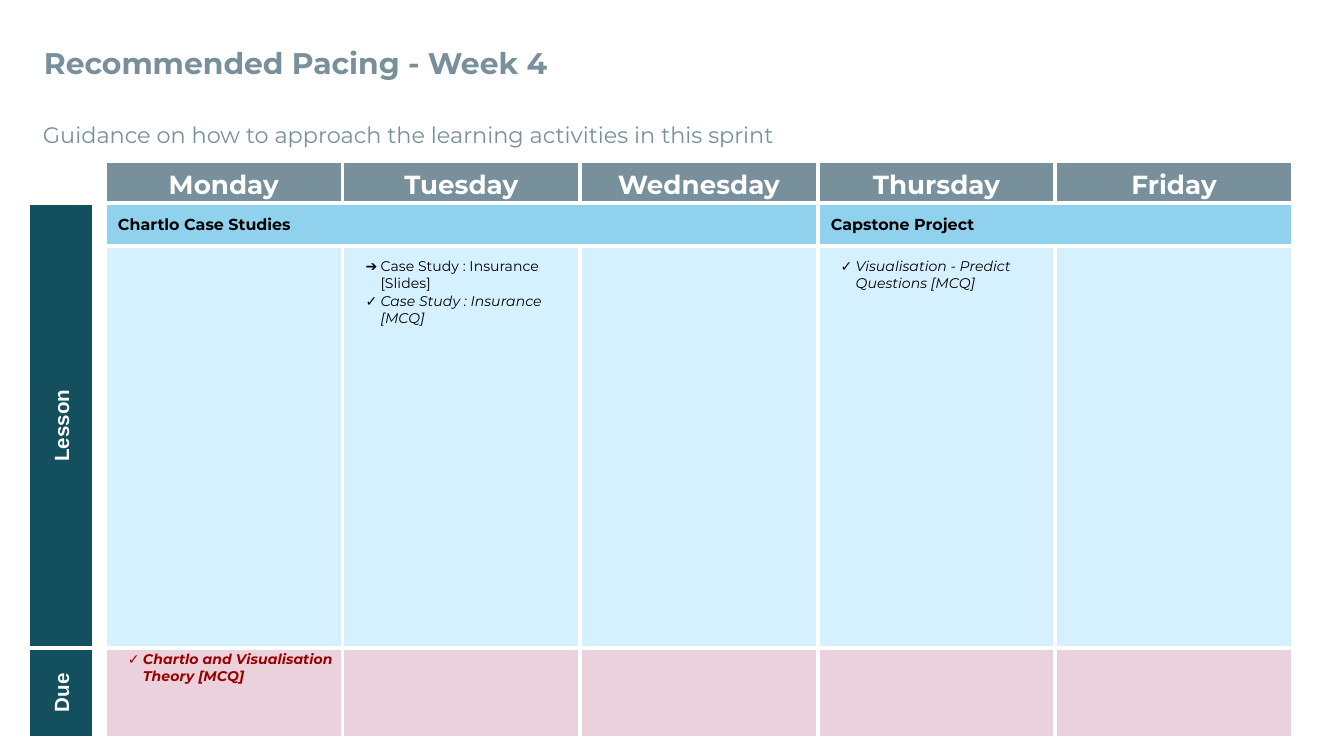
import pptx
import pptx.dml.color
import pptx.enum.shapes
import pptx.enum.text
import pptx.oxml
import pptx.oxml.ns
import pptx.util
from lxml import etree

PX = 914400 / 134.4  # EMU per px
FONT = "Montserrat"
COLORS = {
    "slate": "78909C", "teal": "134F5C", "blue": "90D1ED", "pale": "D5F1FF",
    "pink": "EAD1DC", "red": "990000", "white": "FFFFFF", "black": "000000",
}
DAYS = ["Monday", "Tuesday", "Wednesday", "Thursday", "Friday"]
# (day column, marker, text, italic)
LESSONS = [
    (1, "➔", "Case Study : Insurance [Slides]", False),
    (1, "✓", "Case Study : Insurance [MCQ]", True),
    (3, "✓", "Visualisation - Predict Questions [MCQ]", True),
]
DUE = [(0, "✓", "Chartlo and Visualisation Theory [MCQ]", True)]
# (first day column, number of days, text)
TOPICS = [(0, 3, "Chartlo Case Studies"), (3, 2, "Capstone Project")]
ROWS = [42, 445, 90]  # heading, lesson, due
ANCHOR = pptx.enum.text.MSO_ANCHOR
ALIGN = pptx.enum.text.PP_ALIGN


def emu(px):
    return pptx.util.Emu(round(px * PX))


def rgb(name):
    return pptx.dml.color.RGBColor.from_string(COLORS[name])


def set_font(p, size, color, bold=False, italic=False, name=FONT):
    p.font.name, p.font.size = name, pptx.util.Pt(size)
    p.font.bold, p.font.italic = bold, italic
    p.font.color.rgb = rgb(color)


def set_margins(obj, x, y):
    obj.margin_left = obj.margin_right = emu(x)
    obj.margin_top = obj.margin_bottom = emu(y)


def add_text(s, box, text, size, bold, anchor, spacing):
    tf = s.shapes.add_textbox(*map(emu, box)).text_frame
    tf.word_wrap = True
    tf.vertical_anchor = anchor
    set_margins(tf, 10, 5)
    p = tf.paragraphs[0]
    p.text, p.line_spacing = text, spacing
    set_font(p, size, "slate", bold)


def add_bar(s, box, text, fill, size, color, align, name=FONT):
    sp = s.shapes.add_shape(pptx.enum.shapes.MSO_SHAPE.RECTANGLE, *map(emu, box))
    sp.shadow.inherit = False
    sp.fill.solid()
    sp.fill.fore_color.rgb = rgb(fill)
    sp.line.color.rgb = rgb("white")
    sp.line.width = pptx.util.Pt(2.25)
    tf = sp.text_frame
    tf.vertical_anchor = ANCHOR.MIDDLE
    set_margins(tf, 13, 13)
    p = tf.paragraphs[0]
    p.text, p.alignment = text, align
    set_font(p, size, color, True, name=name)
    return sp


def add_side_label(s, box, text):
    """Bar whose text reads upwards: laid flat about the box centre, then turned."""
    x, y, w, h = box
    flat = (x + (w - h) / 2, y + (h - w) / 2, h, w)
    add_bar(s, flat, text, "teal", 11, "white", ALIGN.CENTER, "Arial").rotation = 270


def style_cell(cell, fill):
    tcPr = cell._tc.get_or_add_tcPr()
    for side in ("lnL", "lnR", "lnT", "lnB"):
        tcPr.append(pptx.oxml.parse_xml(
            f'<a:{side} {pptx.oxml.ns.nsdecls("a")} w="28575"><a:solidFill>'
            f'<a:srgbClr val="{COLORS["white"]}"/></a:solidFill></a:{side}>'))
    cell.fill.solid()
    cell.fill.fore_color.rgb = rgb(fill)
    set_margins(cell, 4, 3)


def add_bullet(cell, marker, text, color, bold, italic):
    tf = cell.text_frame
    p = tf.add_paragraph() if tf.text else tf.paragraphs[0]
    p.text = text
    set_font(p, 7.5, color, bold, italic)
    pPr = p._p.get_or_add_pPr()
    pPr.set("marL", str(emu(34)))
    pPr.set("indent", str(emu(-15)))
    qn = pptx.oxml.ns.qn
    bullet_color = etree.Element(qn("a:buClr"))
    etree.SubElement(bullet_color, qn("a:srgbClr"), val=COLORS[color])
    bullet_font = etree.Element(qn("a:buFont"), typeface=FONT)
    bullet = etree.Element(qn("a:buChar"), char=marker)
    for i, part in enumerate((bullet_color, bullet_font, bullet)):
        pPr.insert(i, part)


def add_week_table(s, box):
    table = s.shapes.add_table(len(ROWS), len(DAYS), *map(emu, box)).table
    table.first_row = table.horz_banding = False
    for col in table.columns:
        col.width = emu(box[2] / len(DAYS))
    for row, height, fill in zip(table.rows, ROWS, ("slate", "pale", "pink")):
        row.height = emu(height)
        for cell in row.cells:
            style_cell(cell, fill)

    # Day headings
    for i, day in enumerate(DAYS):
        cell = table.cell(0, i)
        cell.vertical_anchor = ANCHOR.MIDDLE
        p = cell.text_frame.paragraphs[0]
        p.text, p.alignment, p.line_spacing = day, ALIGN.CENTER, 1.15
        set_font(p, 14, "white", True)

    # Activities, starting below the topic bars
    for col, marker, text, italic in LESSONS:
        cell = table.cell(1, col)
        cell.margin_top = emu(55)
        add_bullet(cell, marker, text, "black", False, italic)
    for col, marker, text, italic in DUE:
        add_bullet(table.cell(2, col), marker, text, "red", True, italic)


def add_schedule(s, box):
    x, y, w, h = box
    side, gap = 66, 11
    table_x, table_w = x + side + gap, w - side - gap
    lesson_y = y + ROWS[0]
    add_week_table(s, (table_x, y, table_w, h))

    # Row labels
    add_side_label(s, (x, lesson_y, side, ROWS[1]), "Lesson")
    add_side_label(s, (x, lesson_y + ROWS[1], side, ROWS[2]), "Due")

    # Topic bars
    day_w = table_w / len(DAYS)
    for first, days, topic in TOPICS:
        add_bar(s, (table_x + first * day_w, lesson_y, days * day_w, 43),
                topic, "blue", 8.5, "black", ALIGN.LEFT)


def add_heading(s, box):
    x, y, w, h = box
    add_text(s, (x, y, w, 90), "Recommended Pacing - Week 4", 16, True, ANCHOR.MIDDLE, 1)
    add_text(s, (x - 1, y + 90, w, h - 90),
             "Guidance on how to approach the learning activities in this sprint",
             12, False, ANCHOR.TOP, 1.3)


def main():
    prs = pptx.Presentation()
    prs.slide_width, prs.slide_height = emu(1344), emu(756)
    s = prs.slides.add_slide(prs.slide_layouts[6])
    add_heading(s, (34, 18, 1275, 143))
    add_schedule(s, (28, 161, 1265, sum(ROWS)))
    prs.save("out.pptx")


if __name__ == "__main__":
    main()
